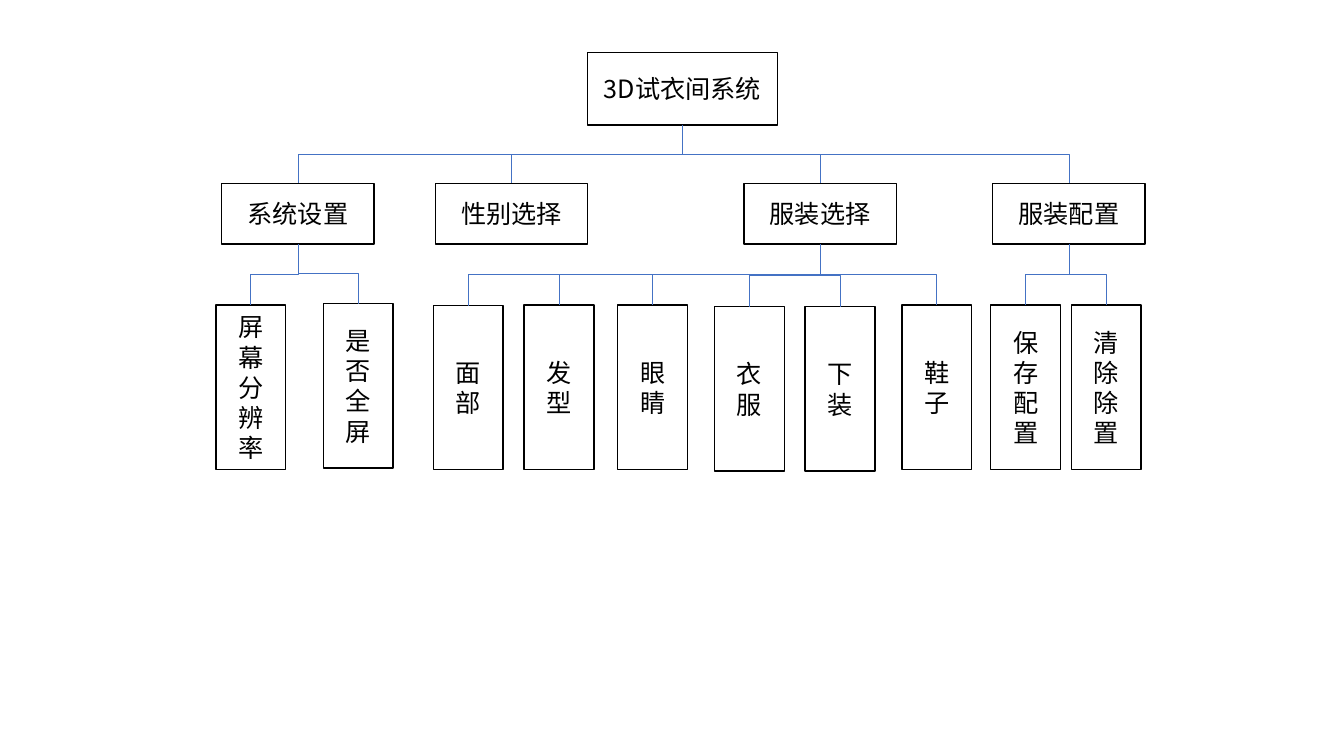
from lxml.etree import SubElement
from pptx import Presentation
from pptx.dml.color import RGBColor
from pptx.enum.shapes import MSO_CONNECTOR, MSO_SHAPE
from pptx.enum.text import MSO_ANCHOR, PP_ALIGN
from pptx.oxml.ns import qn
from pptx.util import Cm, Pt


def color(hex_value):
    return RGBColor.from_string(hex_value)


class TreeChart:
    font = "Noto Sans CJK SC"
    text_size = 18
    ink, paper, branch_color = "000000", "FFFFFF", "4472C4"

    def __init__(self, page):
        self.page = page

    def box(self, text, left, top, width, height):
        box = self.page.shapes.add_shape(
            MSO_SHAPE.RECTANGLE, Cm(left), Cm(top), Cm(width), Cm(height))
        box.shadow.inherit = False
        box.fill.solid()
        box.fill.fore_color.rgb = color(self.paper)
        box.line.color.rgb = color(self.ink)
        box.line.width = Pt(1)
        frame = box.text_frame
        frame.word_wrap = True
        frame.vertical_anchor = MSO_ANCHOR.MIDDLE
        para = frame.paragraphs[0]
        para.alignment = PP_ALIGN.CENTER
        span = para.add_run()
        span.text = text
        span.font.size = Pt(self.text_size)
        span.font.name = self.font
        span.font.color.rgb = color(self.ink)
        SubElement(span.font._element, qn("a:ea"), typeface=self.font)
        return box

    def branch(self, parent, child):
        """Elbow from the parent's bottom centre to the child's top centre."""
        start_x = parent.left + parent.width // 2
        start_y = parent.top + parent.height
        end_x, end_y = child.left + child.width // 2, child.top
        line = self.page.shapes.add_connector(
            MSO_CONNECTOR.ELBOW, start_x, start_y, end_x, end_y)
        line.begin_connect(parent, 2)
        line.end_connect(child, 0)
        line.line.color.rgb = color(self.branch_color)
        line.line.width = Pt(0.5)
        properties = line._element.spPr
        SubElement(properties, qn("a:effectLst"))

        # A quarter turn makes the elbow leave vertically
        drop, reach = end_y - start_y, abs(end_x - start_x)
        line.width, line.height = drop, reach
        line.left = (start_x + end_x - drop) // 2
        line.top = (start_y + end_y - reach) // 2
        goes_right = end_x > start_x
        frame = properties.find(qn("a:xfrm"))
        frame.set("rot", "16200000" if goes_right else "5400000")
        frame.set("flipH", "1" if goes_right else "0")
        frame.set("flipV", "0")


# Modules: name, left, then their functions: name, left, top
modules = [
    ("系统设置", 5.59, [("屏幕分辨率", 5.44, 7.69), ("是否全屏", 8.15, 7.65)]),
    ("性别选择", 10.97, []),
    ("服装选择", 18.75, [
        ("面部", 10.92, 7.7), ("发型", 13.21, 7.69), ("眼睛", 15.57, 7.69),
        ("衣服", 18.01, 7.73), ("下装", 20.29, 7.73), ("鞋子", 22.73, 7.69)]),
    ("服装配置", 25.02, [("保存配置", 24.97, 7.69), ("清除除置", 27.0, 7.69)]),
]

deck = Presentation()
deck.slide_width, deck.slide_height = Cm(33.87), Cm(19.05)
page = deck.slides.add_slide(deck.slide_layouts[6])
chart = TreeChart(page)

# System at the top
system = chart.box("3D试衣间系统", 14.81, 1.32, 4.78, 1.83)

# Modules and their functions, each joined to its parent
for module_name, module_left, functions in modules:
    module = chart.box(module_name, module_left, 4.62, 3.84, 1.53)
    chart.branch(system, module)
    for function_name, function_left, function_top in functions:
        function = chart.box(
            function_name, function_left, function_top, 1.76, 4.14)
        chart.branch(module, function)

deck.save("out.pptx")
